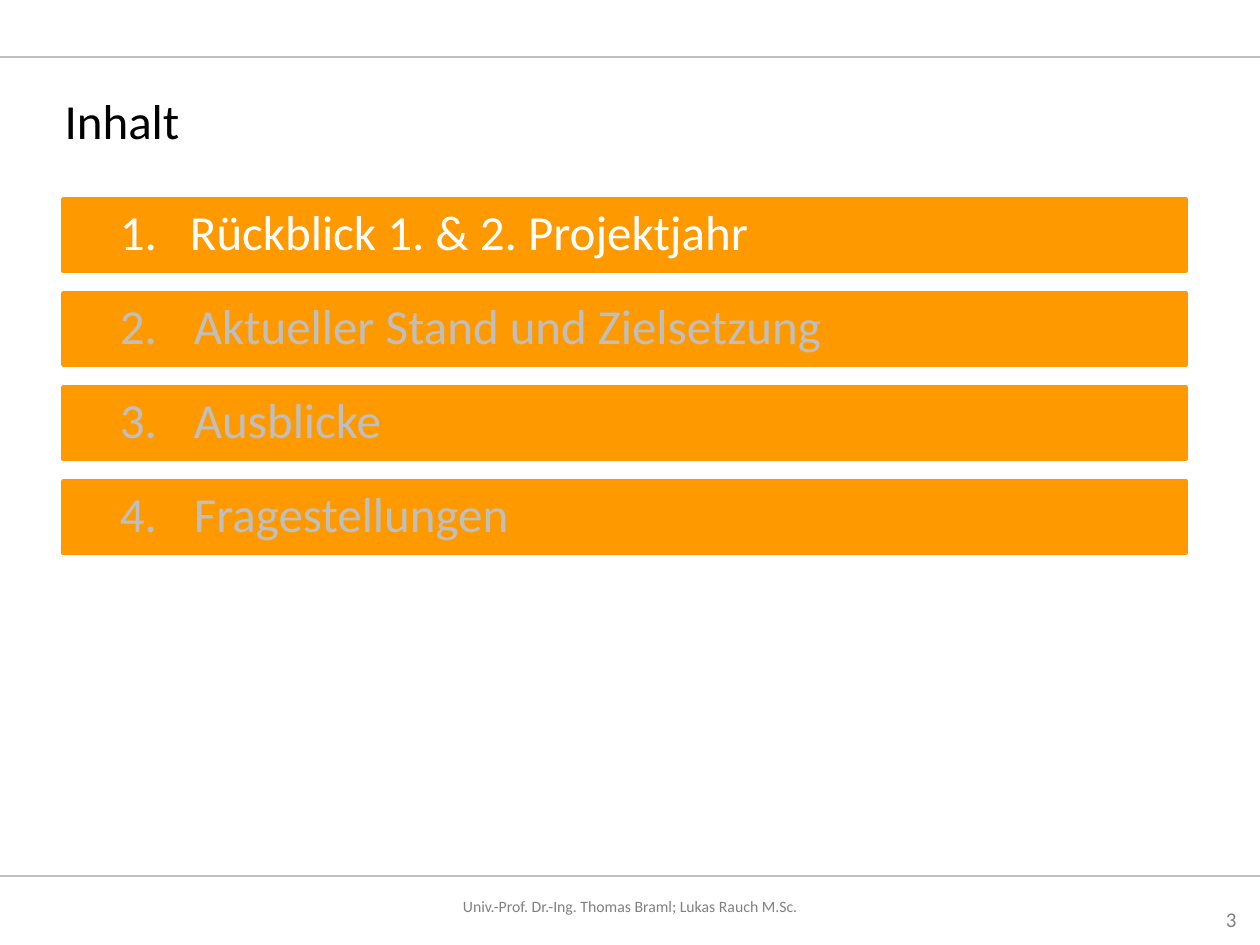
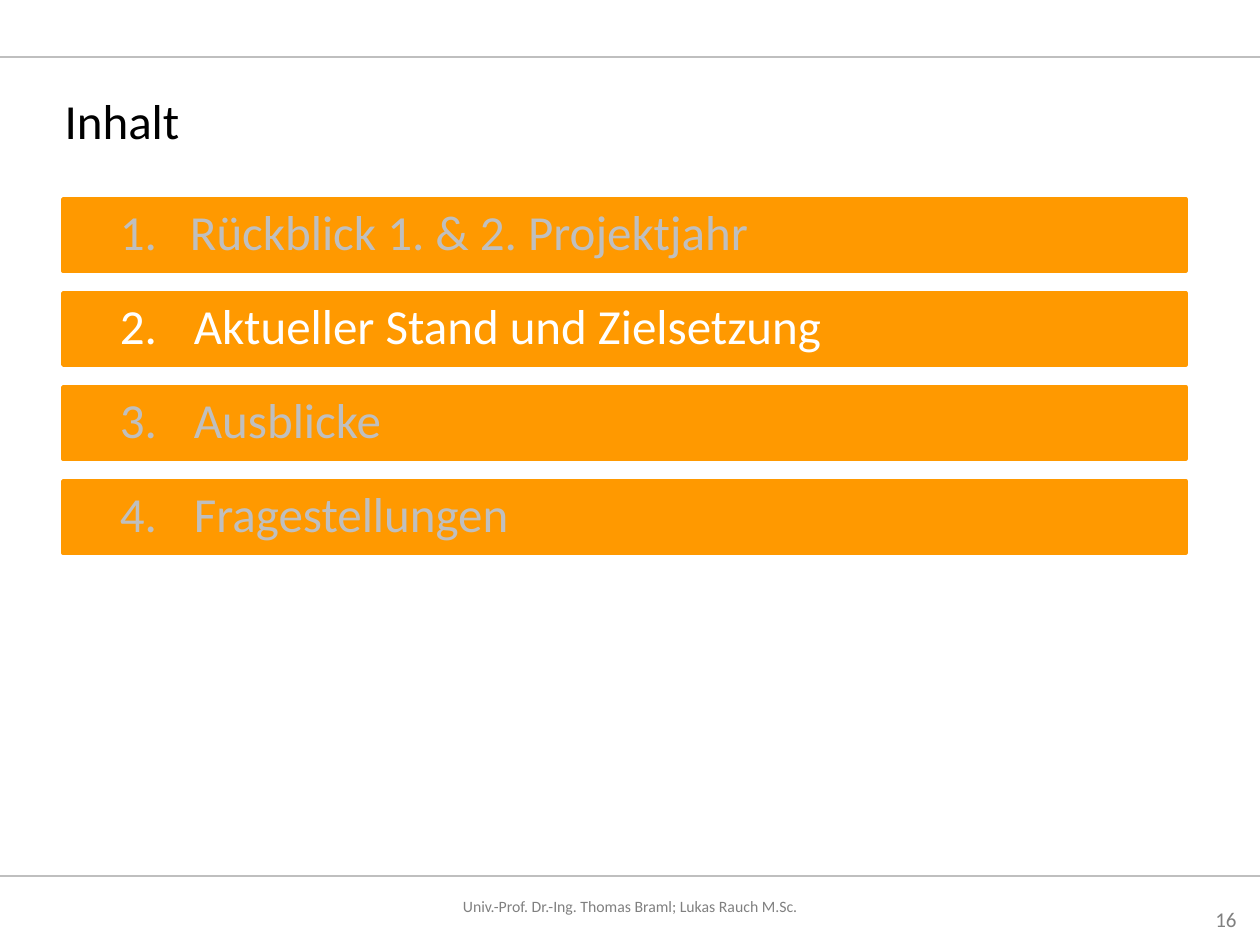
from lxml import etree
from pptx import Presentation
from pptx import util as u
from pptx.dml.color import RGBColor
from pptx.enum import shapes, text
from pptx.oxml import ns

PX = u.Inches(1) / 126
WIDTH, HEIGHT = 1260, 945
BLACK, WHITE, ORANGE = "000000", "FFFFFF", "FF9900"
LIGHT_GREY, GREY = "BFBFBF", "808080"
AUTHORS = "Univ.-Prof. Dr.-Ing. Thomas Braml; Lukas Rauch M.Sc."
CHAPTERS = ["Rückblick 1. & 2. Projektjahr", "Aktueller Stand und Zielsetzung",
            "Ausblicke", "Fragestellungen"]
AGENDA_PAGES = [(3, 1), (16, 2)]


def px(length):
    return u.Emu(round(length * PX))


def color(hex_code):
    return RGBColor.from_string(hex_code)


def add_element(parent, tag, **attributes):
    return etree.SubElement(parent, ns.qn(tag), attributes)


class Deck:
    font = "Calibri"

    def __init__(self):
        self.presentation = Presentation()
        self.presentation.slide_width = px(WIDTH)
        self.presentation.slide_height = px(HEIGHT)
        self.slide = None

    def new_slide(self, page):
        layout = self.presentation.slide_layouts.get_by_name("Title Only")
        self.slide = self.presentation.slides.add_slide(layout)
        self.label(str(page), 1147, 900, 102, 39, 12, text.PP_ALIGN.RIGHT)
        self.rule(876)
        self.label(AUTHORS, 0, 891, WIDTH, 32, 9, text.PP_ALIGN.CENTER)
        self.rule(57)

    def style(self, paragraph, size, hex_code, align=text.PP_ALIGN.LEFT):
        paragraph.alignment = align
        for run in paragraph.runs:
            run.font.name = self.font
            run.font.size = u.Pt(size)
            run.font.color.rgb = color(hex_code)

    def label(self, wording, left, top, width, height, size, align):
        frame = self.slide.shapes.add_textbox(
            px(left), px(top), px(width), px(height)).text_frame
        frame.word_wrap = True
        frame.text = wording
        self.style(frame.paragraphs[0], size, GREY, align)

    def rule(self, y):
        line = self.slide.shapes.add_connector(
            shapes.MSO_CONNECTOR.STRAIGHT, 0, px(y), px(WIDTH), px(y))
        line.line.color.rgb = color(LIGHT_GREY)
        line.line.width = u.Pt(1)
        add_element(line.element.spPr, "a:effectLst")

    def title(self, wording):
        heading = self.slide.shapes.title
        heading.left, heading.top = px(52), px(84)
        heading.width, heading.height = px(1134), px(93)
        frame = heading.text_frame
        frame.auto_size = text.MSO_AUTO_SIZE.NONE
        frame.vertical_anchor = text.MSO_ANCHOR.TOP
        frame.text = wording
        self.style(frame.paragraphs[0], 28, BLACK)

    def chapter_bar(self, number, wording, top, active):
        bar = self.slide.shapes.add_shape(
            shapes.MSO_SHAPE.RECTANGLE, px(63), px(top), px(1123), px(72))
        bar.shadow.inherit = False
        bar.fill.solid()
        bar.fill.fore_color.rgb = color(ORANGE)
        bar.line.color.rgb = color(ORANGE)
        bar.line.width = u.Pt(2)
        frame = bar.text_frame
        frame.word_wrap = True
        frame.vertical_anchor = text.MSO_ANCHOR.MIDDLE
        frame.margin_left = px(57)
        frame.margin_top = frame.margin_right = frame.margin_bottom = px(10)
        paragraph = frame.paragraphs[0]
        paragraph.line_spacing = 0.9
        properties = paragraph._p.get_or_add_pPr()
        if number == 1:
            paragraph.text = wording
            properties.set("marL", str(px(70)))
            properties.set("indent", str(-px(70)))
            add_element(properties, "a:buFont", typeface=self.font)
            add_element(properties, "a:buAutoNum", type="arabicPeriod")
        else:
            paragraph.text = f"{number}.\t{wording}"
            tabs = add_element(properties, "a:tabLst")
            add_element(tabs, "a:tab", pos=str(px(74)), algn="l")
        self.style(paragraph, 28, WHITE if active else LIGHT_GREY)

    def agenda(self, page, current_chapter):
        self.new_slide(page)
        self.title("Inhalt")
        for number, chapter in enumerate(CHAPTERS, 1):
            self.chapter_bar(number, chapter, 199 + 94 * (number - 1),
                             number == current_chapter)


def main():
    deck = Deck()
    for page, current_chapter in AGENDA_PAGES:
        deck.agenda(page, current_chapter)
    deck.presentation.save("out.pptx")


if __name__ == "__main__":
    main()
